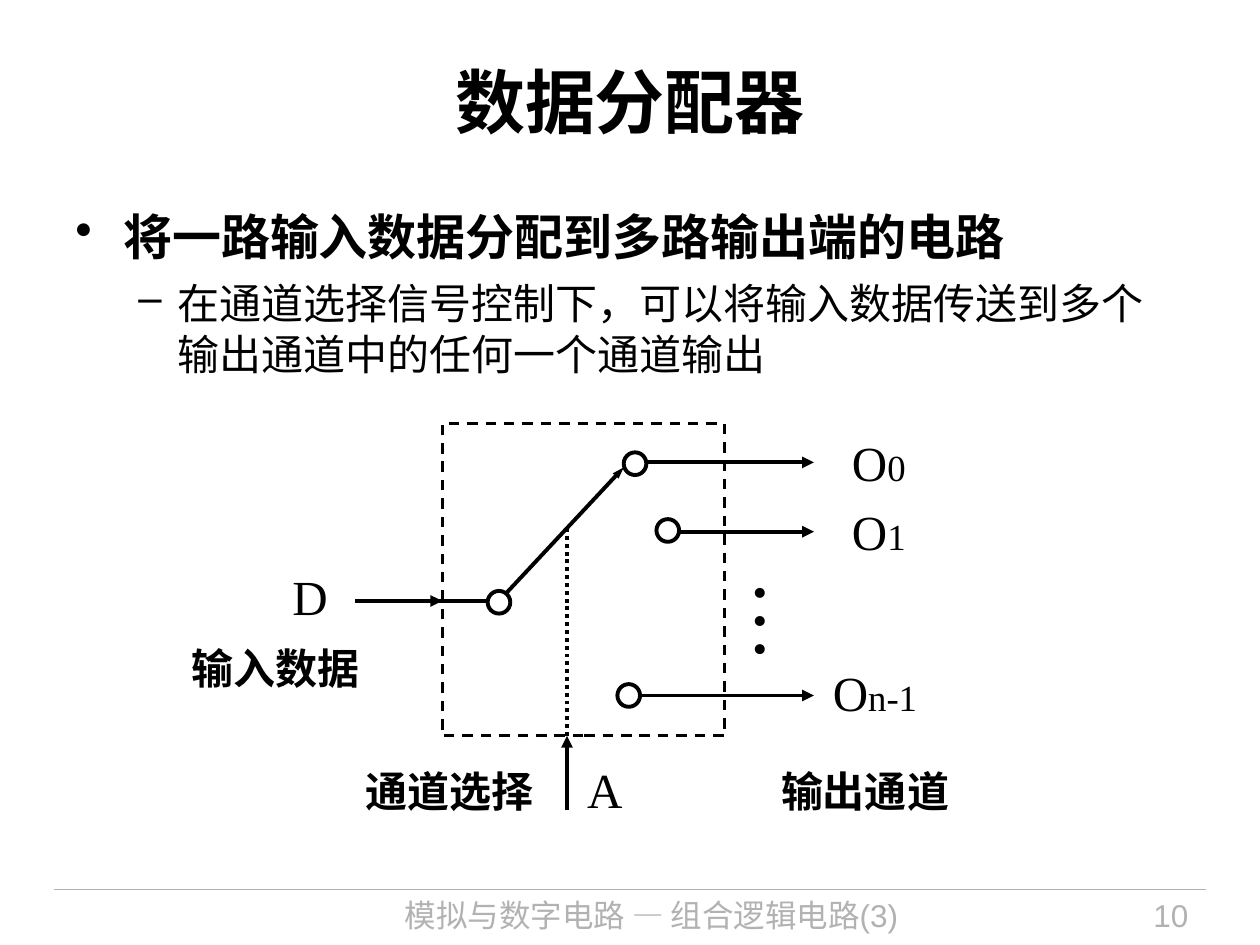
from dataclasses import dataclass

from lxml.etree import SubElement
from pptx import Presentation
from pptx.dml.color import RGBColor
from pptx.enum.dml import MSO_LINE
from pptx.enum.shapes import MSO_CONNECTOR, MSO_SHAPE
from pptx.enum.text import MSO_ANCHOR, PP_ALIGN
from pptx.oxml.ns import qn
from pptx.util import Inches, Pt


@dataclass(frozen=True)
class Theme:
    """Colours, fonts, type sizes and line widths of the slide."""
    ink: RGBColor = RGBColor(0, 0, 0)
    paper: RGBColor = RGBColor(255, 255, 255)
    muted: RGBColor = RGBColor(0xB2, 0xB2, 0xB2)
    sans: str = "Arial"
    serif: str = "Times New Roman"
    title: int = 40
    lead: int = 28
    detail: int = 24
    symbol: int = 28
    subscript: int = 21
    dots: int = 48
    footer: int = 18
    wire: float = 2.25
    frame: float = 1.5
    rule: float = 0.75


THEME = Theme()
WIDTH, HEIGHT = Inches(10), Inches(7.5)
COLS, ROWS = 100, 75
CIRCLE = 1.8
ARROW_END = 64.6


def col(n):
    """Return the length of n grid columns."""
    return round(WIDTH * n / COLS)


def row(n):
    """Return the length of n grid rows."""
    return round(HEIGHT * n / ROWS)


def box(x, y, w, h):
    """Return left, top, width and height for a grid area."""
    return col(x), row(y), col(w), row(h)


def style(item, size, font=THEME.sans, color=THEME.ink, bold=False):
    """Format the font of a run or paragraph."""
    item.font.size = Pt(size)
    item.font.name = font
    item.font.color.rgb = color
    item.font.bold = bold


def add_box(s, area, inset=True, wrap=True):
    """Add an empty text box and return it."""
    sp = s.shapes.add_textbox(*box(*area))
    tf = sp.text_frame
    tf.word_wrap = wrap
    if not inset:
        tf.margin_left = tf.margin_right = tf.margin_top = tf.margin_bottom = 0
    return sp


def add_text(s, area, text, size, align=PP_ALIGN.LEFT, wrap=True, **font):
    """Add a one-paragraph text box and return it."""
    sp = add_box(s, area, wrap=wrap)
    p = sp.text_frame.paragraphs[0]
    p.text = text
    p.alignment = align
    style(p.runs[0], size, **font)
    return sp


def add_symbol(s, area, letter, sub="", align=PP_ALIGN.LEFT):
    """Add a signal name with an optional smaller index."""
    p = add_box(s, area, inset=False, wrap=False).text_frame.paragraphs[0]
    p.alignment = align
    for text, size in ((letter, THEME.symbol), (sub, THEME.subscript)):
        if text:
            r = p.add_run()
            r.text = text
            style(r, size, THEME.serif)


def add_bullet(p, char, margin, hang):
    """Give a paragraph a bullet and a hanging indent in grid columns."""
    pPr = p._p.get_or_add_pPr()
    pPr.set("marL", str(col(margin)))
    pPr.set("indent", str(-col(hang)))
    SubElement(pPr, qn("a:buChar")).set("char", char)


def add_body(s, area, items):
    """Add the bulleted text."""
    tf = add_box(s, area).text_frame
    for i, (text, char, margin, hang, size, bold, after) in enumerate(items):
        p = tf.add_paragraph() if i else tf.paragraphs[0]
        p.text = text
        p.level = i
        add_bullet(p, char, margin, hang)
        p.space_after = Pt(after)
        style(p.runs[0], size, THEME.serif, bold=bold)


def add_line(s, start, end, arrow=None, color=THEME.ink, width=THEME.wire, dash=None):
    """Add a straight line; arrow is the width of the head at its end."""
    (x1, y1), (x2, y2) = start, end
    c = s.shapes.add_connector(MSO_CONNECTOR.STRAIGHT, col(x1), row(y1), col(x2), row(y2))
    c.line.color.rgb = color
    c.line.width = Pt(width)
    if dash:
        c.line.dash_style = dash
    if arrow:
        tail = SubElement(c.line._get_or_add_ln(), qn("a:tailEnd"))
        tail.set("type", "triangle")
        tail.set("w", arrow)
    SubElement(c._element.spPr, qn("a:effectLst"))


def add_outline(s, kind, area, width, dash=None, filled=False):
    """Add an outlined shape, white inside if filled."""
    sp = s.shapes.add_shape(kind, *box(*area))
    sp.shadow.inherit = False
    if filled:
        sp.fill.solid()
        sp.fill.fore_color.rgb = THEME.paper
    else:
        sp.fill.background()
    sp.line.color.rgb = THEME.ink
    sp.line.width = Pt(width)
    if dash:
        sp.line.dash_style = dash


def add_contact(s, x, y):
    """Add a switch contact."""
    add_outline(s, MSO_SHAPE.OVAL, (x, y, CIRCLE, CIRCLE), THEME.wire, filled=True)


def add_switch(s):
    """Add the switch with its input and select lines."""
    add_line(s, (45, 58.4), (45, 41.8), dash=MSO_LINE.ROUND_DOT)
    add_outline(s, MSO_SHAPE.RECTANGLE, (35.1, 33.6, 22.4, 24.8), THEME.frame, MSO_LINE.DASH)
    add_line(s, (28.2, 47.7), (35.1, 47.7), "med")
    add_line(s, (34.6, 47.7), (38.7, 47.7))
    add_line(s, (39.6, 47.7), (49.5, 37.1), "sm")
    add_line(s, (45, 64.3), (45, 58.4), "med")
    add_contact(s, 38.7, 46.9)
    add_symbol(s, (23.2, 45, 2.8, 4.7), "D")
    add_symbol(s, (46.6, 60.3, 3.2, 4.7), "A")


def add_outputs(s):
    """Add each output contact with its arrow and name."""
    outputs = (
        ("0", 49.5, 35.9, 36.7, 67.6, 34.3, 4.3),
        ("1", 52.1, 41.2, 42.2, 67.6, 39.8, 4.3),
        ("n-1", 49, 54.3, 55.2, 66.1, 52.6, 6.7),
    )
    for index, x, y, wire_y, name_x, name_y, name_w in outputs:
        add_line(s, (x + CIRCLE, wire_y), (ARROW_END, wire_y), "med")
        add_contact(s, x, y)
        add_symbol(s, (name_x, name_y, name_w, 4.7), "O", index, PP_ALIGN.CENTER)
    dots = add_text(s, (58.4, 44.8, 8.6, 9), "…", THEME.dots, wrap=False, font=THEME.serif)
    dots.rotation = 90


def add_footer(s):
    """Add the footer rule, course name and page number."""
    top = 70.6
    add_line(s, (4.3, top), (95.7, top), color=THEME.muted, width=THEME.rule)
    for x, w, text, align in (
        (24.9, 53.6, "模拟与数字电路 — 组合逻辑电路(3)", PP_ALIGN.CENTER),
        (82, 13.3, "10", PP_ALIGN.RIGHT),
    ):
        add_text(s, (x, top, w, 4.4), text, THEME.footer, align, color=THEME.muted)


def main():
    """Build and save the slide."""
    prs = Presentation()
    prs.slide_width, prs.slide_height = WIDTH, HEIGHT
    s = prs.slides.add_slide(prs.slide_layouts[6])
    add_footer(s)
    title = add_text(s, (5, 1.7, 90, 12.5), "数据分配器", THEME.title, PP_ALIGN.CENTER, bold=True)
    title.text_frame.vertical_anchor = MSO_ANCHOR.MIDDLE
    add_body(s, (5, 15.9, 90, 15.7), (
        ("将一路输入数据分配到多路输出端的电路", "•", 3.8, 3.8, THEME.lead, True, 7),
        ("在通道选择信号控制下，可以将输入数据传送到多个输出通道中的任何一个通道输出",
         "–", 8.1, 3.1, THEME.detail, False, 6),
    ))
    add_switch(s)
    add_outputs(s)
    for x, y, text in ((14.2, 50.5, "输入数据"), (28, 60.3, "通道选择"), (61, 60.3, "输出通道")):
        add_text(s, (x, y, 16.5, 5), text, THEME.detail, bold=True)
    prs.save("out.pptx")


if __name__ == "__main__":
    main()
